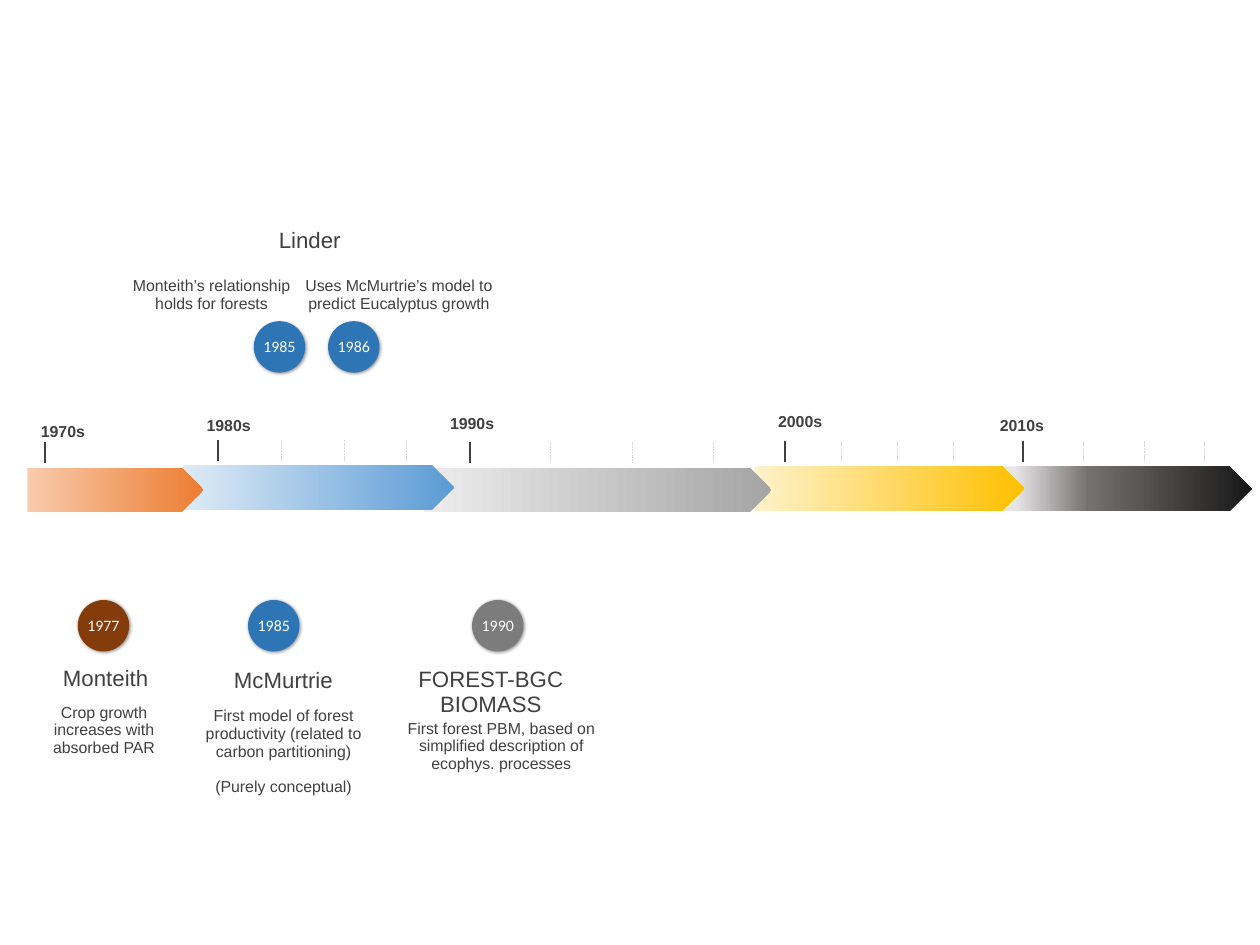
from dataclasses import dataclass

import lxml.etree
import pptx
import pptx.dml.color
import pptx.enum.dml
import pptx.enum.shapes
import pptx.enum.text
import pptx.oxml.ns
import pptx.util

Inches = pptx.util.Inches
Pt = pptx.util.Pt
qn = pptx.oxml.ns.qn

COLORS = {
    "text": "404040",
    "minor": "D9D9D9",
    "white": "FFFFFF",
    "shadow": "000000",
    "brown": "843C0B",
    "blue": "2E75B6",
    "gray": "7C7C7C",
}
CM_PER_INCH = 2.54
ARROW_HEIGHT = 0.39
TICK_HEIGHT = 0.18
TICK_RISE = 0.22
BADGE_SIZE = 0.45


@dataclass
class Decade:
    name: str
    label_left: float
    label_top: float
    left: float
    top: float
    width: float
    tick: float
    minor_step: float
    minor_count: int
    stops: list[tuple[int, str]]


@dataclass
class Badge:
    year: str
    left: float
    top: float
    color: str


@dataclass
class Caption:
    text: str
    left: float
    top: float
    width: float
    height: float
    size: int = 10
    gap: int = 0


DECADES = [
    Decade("2010s", 8.63, 3.65, 8.65, 4.08, 2.3, 8.95, 0.53, 3,
           [(10, "E7E6E6"), (38, "767171"), (100, "181717")]),
    Decade("2000s", 6.69, 3.62, 6.6, 4.08, 2.36, 6.87, 0.49, 3,
           [(0, "FFF2CC"), (100, "FFC000")]),
    Decade("1990s", 3.82, 3.63, 3.71, 4.09, 3.04, 4.11, 0.71, 3,
           [(0, "EDEDED"), (100, "A5A5A5")]),
    Decade("1980s", 1.69, 3.65, 1.61, 4.07, 2.36, 1.91, 0.55, 3,
           [(0, "DEEBF7"), (100, "5B9BD5")]),
    Decade("1970s", 0.24, 3.7, 0.24, 4.09, 1.54, 0.39, 0, 0,
           [(0, "F8CBAD"), (100, "ED7D31")]),
]

BADGES = [
    Badge("1977", 0.68, 5.25, "brown"),
    Badge("1985", 2.17, 5.25, "blue"),
    Badge("1990", 4.13, 5.25, "gray"),
    Badge("1985", 2.22, 2.81, "blue"),
    Badge("1986", 2.87, 2.81, "blue"),
]

CAPTIONS = [
    Caption("Linder", 2, 2, 1.42, 0.22, 14),
    Caption("Monteith’s relationship\vholds for forests", 1.14, 2.43, 1.42, 0.31),
    Caption("Uses McMurtrie’s model to predict Eucalyptus growth", 2.66, 2.43, 1.66, 0.31),
    Caption("Monteith", 0.34, 5.83, 1.17, 0.22, 14),
    Caption("Crop growth increases with absorbed PAR", 0.41, 6.16, 1, 0.31),
    Caption("McMurtrie", 1.77, 5.85, 1.42, 0.22, 14),
    Caption("First model of forest productivity (related to carbon partitioning)\n"
            "(Purely conceptual)", 1.77, 6.19, 1.42, 0.78, gap=11),
    Caption("FOREST-BGC\vBIOMASS", 3.41, 5.84, 1.77, 0.44, 14),
    Caption("First forest PBM, based on simplified description of ecophys. processes",
            3.5, 6.3, 1.77, 0.47),
]


def rgb(name: str) -> pptx.dml.color.RGBColor:
    return pptx.dml.color.RGBColor.from_string(COLORS[name])


def write_text(shape, text: str, *, size: int = 10, font: str = "Arial",
               color: str = "text", bold: bool = False, gap: int = 0,
               anchor=pptx.enum.text.MSO_ANCHOR.TOP) -> None:
    frame = shape.text_frame
    frame.word_wrap = True
    frame.vertical_anchor = anchor
    frame.margin_left = frame.margin_right = frame.margin_top = frame.margin_bottom = 0
    frame.text = text
    for index, paragraph in enumerate(frame.paragraphs):
        paragraph.alignment = pptx.enum.text.PP_ALIGN.CENTER
        paragraph.line_spacing = 0.93
        if index and gap:
            paragraph.space_before = Pt(gap)
        for run in paragraph.runs:
            run.font.size = Pt(size)
            run.font.name = font
            run.font.bold = bold
            run.font.color.rgb = rgb(color)


def add_tick(shapes, x: float, top: float, major: bool) -> None:
    tick = shapes.add_connector(
        pptx.enum.shapes.MSO_CONNECTOR.STRAIGHT,
        Inches(x), Inches(top), Inches(x), Inches(top + TICK_HEIGHT))
    tick.line.color.rgb = rgb("text" if major else "minor")
    tick.line.width = Pt(1.25 if major else 0.5)
    if not major:
        tick.line.dash_style = pptx.enum.dml.MSO_LINE.SQUARE_DOT
    lxml.etree.SubElement(tick._element.spPr, qn("a:effectLst"))


def add_decade(shapes, decade: Decade) -> None:
    arrow = shapes.add_shape(
        pptx.enum.shapes.MSO_SHAPE.RIGHT_ARROW, Inches(decade.left), Inches(decade.top),
        Inches(decade.width), Inches(ARROW_HEIGHT))
    arrow.adjustments[0] = 1
    arrow.adjustments[1] = 0.5
    arrow.shadow.inherit = False
    arrow.line.fill.background()
    arrow.fill.gradient()
    arrow.fill.gradient_angle = 0
    stop_list = arrow._element.spPr.find(".//" + qn("a:gsLst"))
    for default_stop in list(stop_list):
        stop_list.remove(default_stop)
    for position, color in decade.stops:
        stop = lxml.etree.SubElement(stop_list, qn("a:gs"), pos=str(position * 1000))
        lxml.etree.SubElement(stop, qn("a:srgbClr"), val=color)

    for index in range(decade.minor_count + 1):
        add_tick(shapes, decade.tick + index * decade.minor_step,
                 decade.top - TICK_RISE, index == 0)
    label = shapes.add_textbox(Inches(decade.label_left), Inches(decade.label_top),
                               Inches(0.62), Inches(0.26))
    write_text(label, decade.name, bold=True)


def add_badge(shapes, badge: Badge) -> None:
    circle = shapes.add_shape(
        pptx.enum.shapes.MSO_SHAPE.OVAL, Inches(badge.left), Inches(badge.top),
        Inches(BADGE_SIZE), Inches(BADGE_SIZE))
    circle.fill.solid()
    circle.fill.fore_color.rgb = rgb(badge.color)
    circle.line.fill.background()
    circle.shadow.inherit = False
    effects = circle._element.spPr.find(qn("a:effectLst"))
    shadow = lxml.etree.SubElement(
        effects, qn("a:outerShdw"), blurRad=str(Pt(2)), dist=str(Pt(1)),
        dir="2700000", algn="tl", rotWithShape="0")
    shade = lxml.etree.SubElement(shadow, qn("a:srgbClr"), val=COLORS["shadow"])
    lxml.etree.SubElement(shade, qn("a:alpha"), val="40000")
    write_text(circle, badge.year, font="Calibri", color="white",
               anchor=pptx.enum.text.MSO_ANCHOR.MIDDLE)


def add_caption(shapes, caption: Caption) -> None:
    box = shapes.add_textbox(Inches(caption.left), Inches(caption.top),
                             Inches(caption.width), Inches(caption.height))
    write_text(box, caption.text, size=caption.size, gap=caption.gap)


def main() -> None:
    presentation = pptx.Presentation()
    presentation.slide_width = Inches(28 / CM_PER_INCH)
    presentation.slide_height = Inches(21 / CM_PER_INCH)
    shapes = presentation.slides.add_slide(presentation.slide_layouts[6]).shapes
    for decade in DECADES:
        add_decade(shapes, decade)
    for badge in BADGES:
        add_badge(shapes, badge)
    for caption in CAPTIONS:
        add_caption(shapes, caption)
    presentation.save("out.pptx")


if __name__ == "__main__":
    main()
